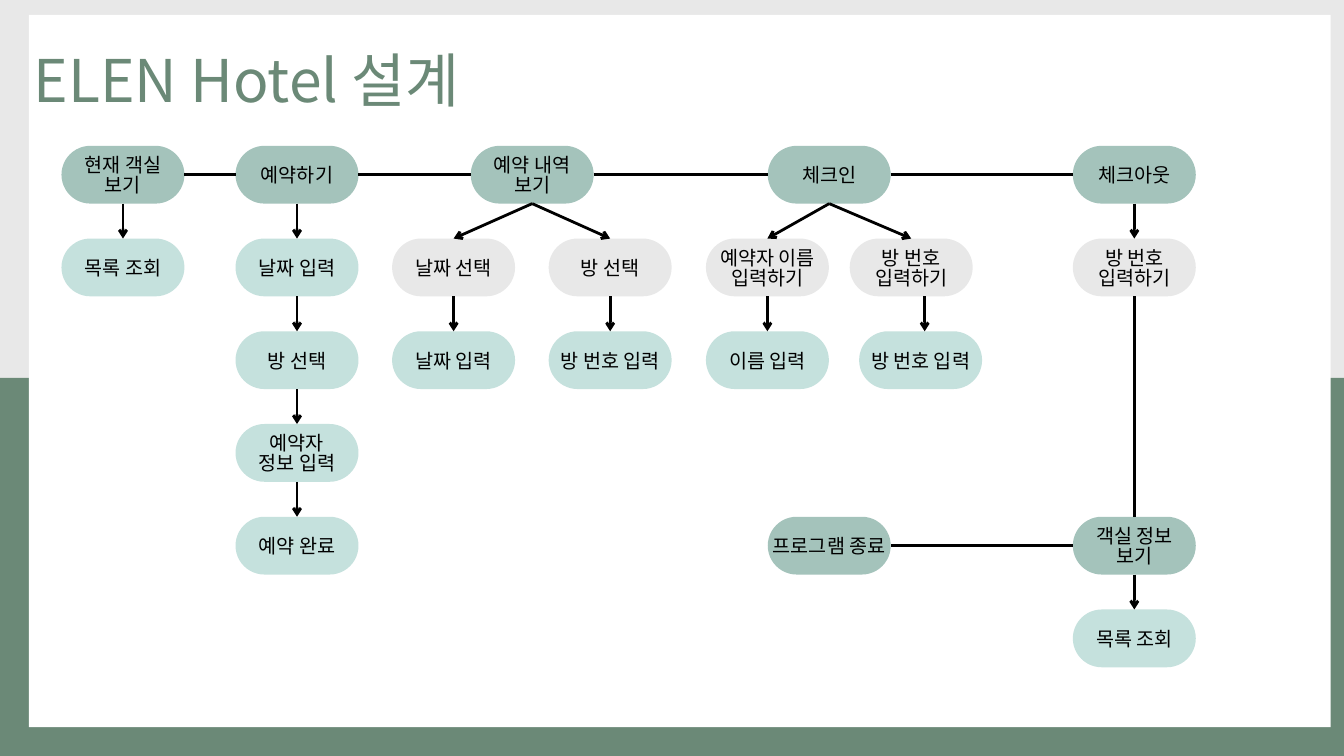
import pptx
import pptx.dml.color
import pptx.enum.shapes
import pptx.enum.text
import pptx.oxml.ns
import pptx.util
from lxml import etree

WIDTH, HEIGHT = 20, 11.25
PILL_WIDTH, PILL_HEIGHT = 1.83, 0.86
FIRST_ROW, ROW_STEP = 2.17, 1.38
FONT = "Noto Sans CJK KR"
BLACK, WHITE, GREY = "000000", "FFFFFF", "E8E8E8"
GREEN, SAGE, MINT = "6B8977", "A4C3BB", "C5E1DD"
TOP, LEFT, BOTTOM, RIGHT = range(4)

COLUMNS = {
    "rooms": 1.83, "book": 4.42, "date": 6.75, "history": 7.92, "room": 9.08,
    "name": 11.42, "checkin": 12.34, "number": 13.56, "number entry": 13.7,
    "checkout": 16.88,
}

PILLS = [
    ("rooms", 0, SAGE, ["현재 객실 보기"]),
    ("book", 0, SAGE, ["예약하기"]),
    ("history", 0, SAGE, ["예약 내역 보기"]),
    ("checkin", 0, SAGE, ["체크인"]),
    ("checkout", 0, SAGE, ["체크아웃"]),
    ("checkout", 4, SAGE, ["객실 정보 보기"]),
    ("checkin", 4, SAGE, ["프로그램 종료"]),
    ("rooms", 1, MINT, ["목록 조회"]),
    ("book", 1, MINT, ["날짜 입력"]),
    ("book", 2, MINT, ["방 선택"]),
    ("book", 3, MINT, ["예약자", "정보 입력"]),
    ("book", 4, MINT, ["예약 완료"]),
    ("date", 1, GREY, ["날짜 선택"]),
    ("room", 1, GREY, ["방 선택"]),
    ("date", 2, MINT, ["날짜 입력"]),
    ("room", 2, MINT, ["방 번호 입력"]),
    ("name", 1, GREY, ["예약자 이름", "입력하기"]),
    ("number", 1, GREY, ["방 번호", "입력하기"]),
    ("name", 2, MINT, ["이름 입력"]),
    ("number entry", 2, MINT, ["방 번호 입력"]),
    ("checkout", 1, GREY, ["방 번호", "입력하기"]),
    ("checkout", 5, MINT, ["목록 조회"]),
]
ONE_LINE = ("checkin", 4)

MENU = ["rooms", "book", "history", "checkin", "checkout"]
ARROWS = [
    (("rooms", 0), ("rooms", 1)),
    *[(("book", row), ("book", row + 1)) for row in range(4)],
    (("history", 0), ("date", 1)),
    (("history", 0), ("room", 1)),
    (("date", 1), ("date", 2)),
    (("room", 1), ("room", 2)),
    (("checkin", 0), ("name", 1)),
    (("checkin", 0), ("number", 1)),
    (("name", 1), ("name", 2)),
    (("checkout", 0), ("checkout", 1)),
    (("checkout", 4), ("checkout", 5)),
]


def inches(*values):
    return [pptx.util.Inches(value) for value in values]


def colour(target, value):
    if hasattr(target, "solid"):
        target.solid()
        target = target.fore_color
    target.rgb = pptx.dml.color.RGBColor.from_string(value)


def add_block(page, kind, left, top, width, height, fill):
    block = page.shapes.add_shape(kind, *inches(left, top, width, height))
    block.shadow.inherit = False
    colour(block.fill, fill)
    block.line.fill.background()
    return block


def add_panel(page, left, top, width, height, fill):
    kind = pptx.enum.shapes.MSO_SHAPE.RECTANGLE
    return add_block(page, kind, left, top, width, height, fill)


def write(box, lines, size, spacing, text_colour):
    frame = box.text_frame
    frame.word_wrap = True
    frame.margin_left = frame.margin_right = frame.margin_top = frame.margin_bottom = 0
    for index, line in enumerate(lines):
        para = frame.add_paragraph() if index else frame.paragraphs[0]
        para.alignment = pptx.enum.text.PP_ALIGN.CENTER
        para.line_spacing = pptx.util.Pt(spacing)
        span = para.add_run()
        span.text = line
        span.font.size = pptx.util.Pt(size)
        span.font.name = FONT
        colour(span.font.color, text_colour)
        east_asian = etree.SubElement(span.font._element, pptx.oxml.ns.qn("a:ea"))
        east_asian.set("typeface", FONT)
    return frame


def add_title(page, text):
    box = page.shapes.add_textbox(*inches(0.33, 0.47, 6.68, 1.19))
    write(box, [text], 63, 88.2, GREEN)


def add_pill(page, column, row, fill, lines):
    kind = pptx.enum.shapes.MSO_SHAPE.ROUNDED_RECTANGLE
    left = COLUMNS[column] - PILL_WIDTH / 2
    top = FIRST_ROW + row * ROW_STEP
    pill = add_block(page, kind, left, top, PILL_WIDTH, PILL_HEIGHT, fill)
    pill.adjustments[0] = 0.5
    frame = write(pill, lines, 21, 21, BLACK)
    frame.word_wrap = (column, row) != ONE_LINE
    frame.margin_top = pptx.util.Inches(0.06)
    frame.vertical_anchor = pptx.enum.text.MSO_ANCHOR.MIDDLE
    return pill


def add_link(page, start, start_side, end, end_side):
    straight = pptx.enum.shapes.MSO_CONNECTOR.STRAIGHT
    link = page.shapes.add_connector(straight, 0, 0, 0, 0)
    link.begin_connect(start, start_side)
    link.end_connect(end, end_side)
    return style_link(link)


def style_link(link):
    link.line.width = pptx.util.Pt(3)
    colour(link.line.fill, BLACK)
    etree.SubElement(link._element.spPr, pptx.oxml.ns.qn("a:effectLst"))
    return link


def add_arrowhead(link):
    tail = etree.SubElement(link.line._get_or_add_ln(), pptx.oxml.ns.qn("a:tailEnd"))
    tail.set("type", "arrow")


def add_drop(page, centre, row):
    top = FIRST_ROW + row * ROW_STEP + PILL_HEIGHT
    bottom = FIRST_ROW + (row + 1) * ROW_STEP
    straight = pptx.enum.shapes.MSO_CONNECTOR.STRAIGHT
    link = page.shapes.add_connector(straight, *inches(centre, top, centre, bottom))
    add_arrowhead(style_link(link))


def main():
    deck = pptx.Presentation()
    deck.slide_width, deck.slide_height = inches(WIDTH, HEIGHT)
    page = deck.slides.add_slide(deck.slide_layouts[6])
    colour(page.background.fill, GREY)
    add_panel(page, 0, HEIGHT / 2, WIDTH, HEIGHT / 2, GREEN)
    add_panel(page, 0.43, 0.22, 19.37, 10.6, WHITE)
    add_title(page, "ELEN Hotel 설계")

    pills = {(pill[0], pill[1]): add_pill(page, *pill) for pill in PILLS}
    for start, end in zip(MENU, MENU[1:]):
        add_link(page, pills[start, 0], RIGHT, pills[end, 0], LEFT)
    for start, end in ARROWS:
        add_arrowhead(add_link(page, pills[start], BOTTOM, pills[end], TOP))
    add_drop(page, 13.76, 1)
    add_link(page, pills["checkout", 4], TOP, pills["checkout", 1], BOTTOM)
    add_link(page, pills["checkout", 4], LEFT, pills["checkin", 4], RIGHT)
    deck.save("out.pptx")


if __name__ == "__main__":
    main()
